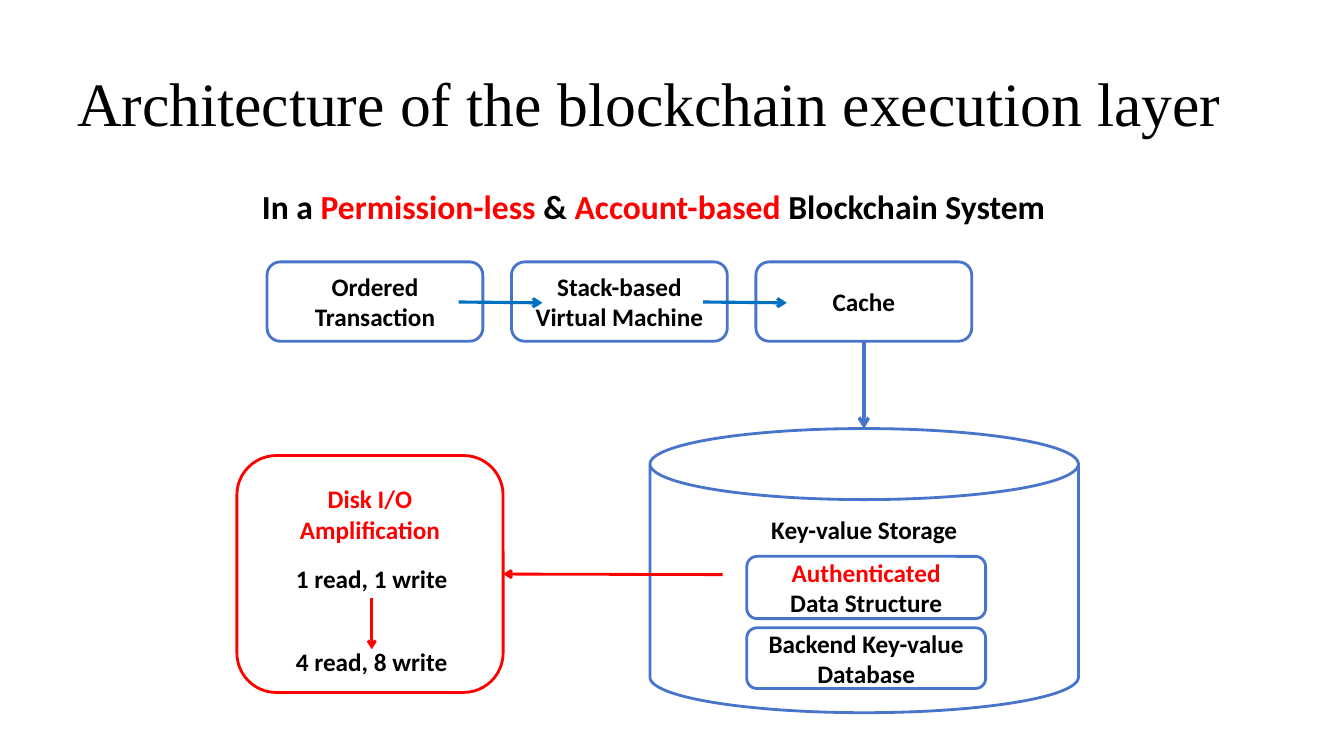
"""Builds the slide on the architecture of the blockchain execution layer."""
from dataclasses import dataclass

from lxml import etree
from pptx import Presentation
from pptx.dml.color import RGBColor
from pptx.enum import shapes, text
from pptx.oxml import ns
from pptx.util import Cm, Pt

BLACK = RGBColor(0x00, 0x00, 0x00)
RED = RGBColor(0xFF, 0x00, 0x00)
BLUE = RGBColor(0x48, 0x74, 0xCB)
FLOW_BLUE = RGBColor(0x00, 0x70, 0xC0)
ROUNDED = shapes.MSO_SHAPE.ROUNDED_RECTANGLE
TOP, MIDDLE = text.MSO_ANCHOR.TOP, text.MSO_ANCHOR.MIDDLE


@dataclass(frozen=True)
class Words:
    content: str
    color: RGBColor = BLACK


@dataclass(frozen=True)
class Label:
    left: float
    top: float
    width: float
    height: float
    words: tuple[Words, ...]
    size: float = 18
    font: str = "Calibri"
    bold: bool = True
    anchor: text.MSO_ANCHOR = TOP
    spacing: float = 1.0


@dataclass(frozen=True)
class Node:
    left: float
    top: float
    width: float
    height: float
    lines: tuple[Words, ...]
    outline: RGBColor = BLUE
    kind: shapes.MSO_SHAPE = ROUNDED
    anchor: text.MSO_ANCHOR = MIDDLE
    inset: float = 0.13


@dataclass(frozen=True)
class Arrow:
    start: tuple[float, float]
    end: tuple[float, float]
    color: RGBColor
    weight: float


def add_words(paragraph, words: Words, size: float, font: str, bold: bool) -> None:
    run = paragraph.add_run()
    run.text = words.content
    run.font.size = Pt(size)
    run.font.name = font
    run.font.bold = bold
    run.font.color.rgb = words.color


def add_label(slide, label: Label) -> None:
    box = slide.shapes.add_textbox(
        Cm(label.left), Cm(label.top), Cm(label.width), Cm(label.height))
    frame = box.text_frame
    frame.word_wrap = True
    frame.vertical_anchor = label.anchor
    paragraph = frame.paragraphs[0]
    paragraph.line_spacing = label.spacing
    for words in label.words:
        add_words(paragraph, words, label.size, label.font, label.bold)


def add_node(slide, node: Node):
    shape = slide.shapes.add_shape(
        node.kind, Cm(node.left), Cm(node.top), Cm(node.width), Cm(node.height))
    shape.shadow.inherit = False
    shape.fill.background()
    shape.line.color.rgb = node.outline
    shape.line.width = Pt(2)
    frame = shape.text_frame
    frame.word_wrap = True
    frame.vertical_anchor = node.anchor
    frame.margin_top = Cm(node.inset)
    for index, words in enumerate(node.lines):
        paragraph = frame.add_paragraph() if index else frame.paragraphs[0]
        paragraph.alignment = text.PP_ALIGN.CENTER
        add_words(paragraph, words, 18, "Calibri", True)
    return shape


def add_arrow(slide, arrow: Arrow):
    (x1, y1), (x2, y2) = arrow.start, arrow.end
    connector = slide.shapes.add_connector(
        shapes.MSO_CONNECTOR.STRAIGHT, Cm(x1), Cm(y1), Cm(x2), Cm(y2))
    connector.line.color.rgb = arrow.color
    connector.line.width = Pt(arrow.weight)
    head = etree.SubElement(connector.line._get_or_add_ln(), ns.qn("a:tailEnd"))
    head.set("type", "arrow")
    etree.SubElement(connector._element.spPr, ns.qn("a:effectLst"))
    return connector


TITLE = Label(1.7, 1.7, 30.48, 1.96,
              (Words("Architecture of the blockchain execution layer"),),
              44, "Times New Roman", False, MIDDLE, 0.9)
SETTING = Label(6.35, 4.57, 21.08, 1.27, (
    Words("In a"), Words(" Permission-less", RED), Words(" & "),
    Words("Account-based", RED), Words(" Blockchain System")), 24)
IO_COUNTS = [Label(7.21, top, 4.9, 1.02, (Words(count),)) for top, count in
             ((14.07, "1 read, 1 write"), (16.15, "4 read, 8 write"))]

STAGE_LEFT, STAGE_PITCH = 6.73, 6.16
STAGES = [Node(STAGE_LEFT + i * STAGE_PITCH, 6.6, 5.44, 2, (Words(name),))
          for i, name in enumerate(
              ("Ordered Transaction", "Stack-based Virtual Machine", "Cache"))]
STORAGE = Node(16.38, 10.8, 10.8, 7.16, (Words("Key-value Storage"),),
               kind=shapes.MSO_SHAPE.CAN, anchor=TOP, inset=0.36)
STORAGE_PARTS = [
    Node(18.82, 14.02, 6.02, 1.57, (Words("Authenticated", RED), Words("Data Structure"))),
    Node(18.82, 15.82, 6.02, 1.53, (Words("Backend Key-value Database"),)),
]
AMPLIFICATION = Node(5.97, 11.48, 6.71, 5.97, (Words("Disk I/O Amplification", RED),),
                     outline=RED, anchor=TOP, inset=0.42)

STAGE_FLOWS = [Arrow((11.56 + i * STAGE_PITCH, 7.61), (13.67 + i * STAGE_PITCH, 7.63),
                     FLOW_BLUE, 2.25) for i in range(2)]
CACHE_TO_STORAGE = Arrow((21.77, 8.6), (21.77, 10.8), BLUE, 2.5)
STORAGE_TO_IO = Arrow((18.21, 14.48), (12.68, 14.46), RED, 2)
IO_GROWTH = Arrow((9.37, 15.06), (9.37, 16.36), RED, 2)


def main() -> None:
    deck = Presentation()
    deck.slide_width, deck.slide_height = Cm(33.87), Cm(19.05)
    slide = deck.slides.add_slide(deck.slide_layouts[6])

    add_label(slide, TITLE)
    add_label(slide, SETTING)
    stages = [add_node(slide, stage) for stage in STAGES]
    for node in (STORAGE, *STORAGE_PARTS):
        add_node(slide, node)
    amplification = add_node(slide, AMPLIFICATION)
    for count in IO_COUNTS:
        add_label(slide, count)

    for arrow in (*STAGE_FLOWS, IO_GROWTH):
        add_arrow(slide, arrow)
    add_arrow(slide, CACHE_TO_STORAGE).begin_connect(stages[-1], 2)
    add_arrow(slide, STORAGE_TO_IO).end_connect(amplification, 3)

    deck.save("out.pptx")


if __name__ == "__main__":
    main()
